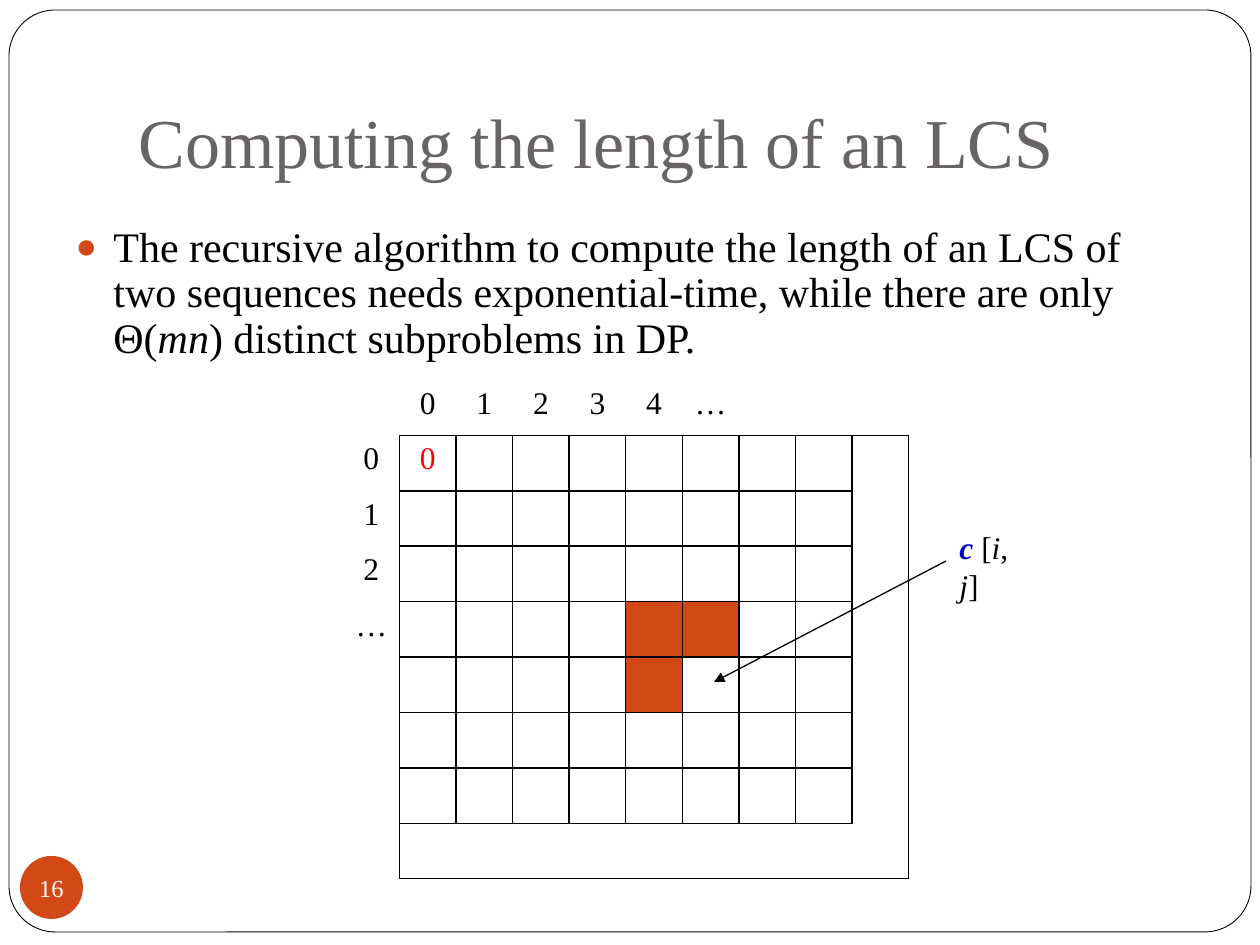
from lxml import etree
from pptx import Presentation, util as u
from pptx.dml import color
from pptx.enum import shapes, text
from pptx.oxml import ns

SCALE = 914400 / 126
FONT = "Times New Roman"
ORANGE = "D34817"
ROWS, COLS = 9, 10


def paint(target, value):
    target.rgb = color.RGBColor.from_string(value)


def style(font, size, value, bold=False, italic=False):
    font.name, font.size = FONT, u.Pt(size)
    font.bold, font.italic = bold, italic
    paint(font.color, value)


deck = Presentation()
deck.slide_width, deck.slide_height = u.Inches(10), u.Inches(7.5)
page = deck.slides.add_slide(deck.slide_layouts[1])
title, body = page.placeholders

frame_box = [round(v * SCALE) for v in (9, 10, 1242, 922)]
frame = page.shapes.add_shape(shapes.MSO_SHAPE.ROUNDED_RECTANGLE, *frame_box)
frame.adjustments[0] = 0.05
frame.shadow.inherit = False
frame.fill.solid()
paint(frame.fill.fore_color, "FFFFFF")
paint(frame.line.color, "000000")
frame.line.width = u.Pt(0.5)
page.shapes._spTree.insert(2, frame._element)

title_box = [round(v * SCALE) for v in (126, 38, 1071, 157)]
title.left, title.top, title.width, title.height = title_box
title.text_frame.text = "Computing the length of an LCS"
title.text_frame.auto_size = text.MSO_AUTO_SIZE.NONE
title.text_frame.vertical_anchor = text.MSO_ANCHOR.BOTTOM
title.text_frame.margin_bottom = u.Inches(0.1)
para = title.text_frame.paragraphs[0]
para.alignment = text.PP_ALIGN.LEFT
style(para.runs[0].font, 40, "696464")

body_box = [round(v * SCALE) for v in (63, 220, 1134, 153)]
body.left, body.top, body.width, body.height = body_box
body.text_frame.auto_size = text.MSO_AUTO_SIZE.NONE
para = body.text_frame.paragraphs[0]
para.line_spacing = 0.9
para.space_before = u.Pt(0)
props = para._p.get_or_add_pPr()
props.set("marL", str(u.Inches(0.3)))
props.set("indent", str(-u.Inches(0.3)))
bullet_color = etree.SubElement(props, ns.qn("a:buClr"))
etree.SubElement(bullet_color, ns.qn("a:srgbClr"), val=ORANGE)
etree.SubElement(props, ns.qn("a:buSzPct"), val="85000")
etree.SubElement(props, ns.qn("a:buFont"), typeface=FONT)
etree.SubElement(props, ns.qn("a:buChar"), char="●")
for words, italic in [
    ("The recursive algorithm to compute the length of an LCS of two sequences "
     "needs exponential-time, while there are only Θ(", False),
    ("mn", True),
    (") distinct subproblems in DP.", False),
]:
    span = para.add_run()
    span.text = words
    style(span.font, 24, "000000", italic=italic)

table_box = [round(v * SCALE) for v in (343, 380, 566, 499)]
table = page.shapes.add_table(ROWS, COLS, *table_box).table
table.first_row = table.horz_banding = False
for column in table.columns:
    column.width = table_box[2] // COLS
for row in table.rows:
    row.height = table_box[3] // ROWS

zones = {}
for r in range(1, ROWS):
    for c in range(1, COLS):
        zones[r, c] = "margin" if r == ROWS - 1 or c == COLS - 1 else "grid"

labels = {(0, c + 1): label for c, label in enumerate("01234…")}
labels.update({(r + 1, 0): label for r, label in enumerate("012…")})
labels[1, 1] = "0"
shaded = {(4, 5), (4, 6), (5, 5)}
sides = {"a:lnL": (0, -1), "a:lnR": (0, 1), "a:lnT": (-1, 0), "a:lnB": (1, 0)}

for r in range(ROWS):
    for c in range(COLS):
        cell = table.cell(r, c)
        props = cell._tc.get_or_add_tcPr()
        zone = zones.get((r, c))
        for side, (down, right) in sides.items():
            edge = etree.SubElement(props, ns.qn(side), w=str(u.Pt(1)))
            if zone == "grid" or zone != zones.get((r + down, c + right)):
                fill = etree.SubElement(edge, ns.qn("a:solidFill"))
                etree.SubElement(fill, ns.qn("a:srgbClr"), val="000000")
            else:
                etree.SubElement(edge, ns.qn("a:noFill"))
        if (r, c) in shaded:
            cell.fill.solid()
            paint(cell.fill.fore_color, ORANGE)
        else:
            cell.fill.background()
        if (r, c) in labels:
            cell.text_frame.text = labels[r, c]
            para = cell.text_frame.paragraphs[0]
            para.alignment = text.PP_ALIGN.CENTER
            style(para.runs[0].font, 18, "FF0000" if (r, c) == (1, 1) else "000000")
table.cell(4, 0)._tc.get_or_add_tcPr().set("vert", "eaVert")

label_box = [round(v * SCALE) for v in (947, 522, 96, 50)]
entry = page.shapes.add_textbox(*label_box)
entry.text_frame.word_wrap = True
para = entry.text_frame.paragraphs[0]
for words, value, bold, italic in [
    ("c ", "0000CC", True, True),
    ("[", "000000", False, False),
    ("i", "000000", False, True),
    (", ", "000000", False, False),
    ("j", "000000", False, True),
    ("]", "000000", False, False),
]:
    span = para.add_run()
    span.text = words
    style(span.font, 18, value, bold, italic)

arrow_ends = [round(v * SCALE) for v in (946, 561, 714, 682)]
arrow = page.shapes.add_connector(shapes.MSO_CONNECTOR.STRAIGHT, *arrow_ends)
paint(arrow.line.color, "000000")
arrow.line.width = u.Pt(0.75)
etree.SubElement(arrow.line._get_or_add_ln(), ns.qn("a:tailEnd"), type="triangle")
etree.SubElement(arrow._element.spPr, ns.qn("a:effectLst"))

badge_box = [round(v * SCALE) for v in (20, 856, 63, 63)]
badge = page.shapes.add_shape(shapes.MSO_SHAPE.OVAL, *badge_box)
badge.shadow.inherit = False
badge.fill.solid()
paint(badge.fill.fore_color, ORANGE)
badge.line.fill.background()
number = badge.text_frame
number.margin_left = number.margin_right = number.margin_top = number.margin_bottom = 0
number.word_wrap = False
number.vertical_anchor = text.MSO_ANCHOR.MIDDLE
number.text = "16"
number.paragraphs[0].alignment = text.PP_ALIGN.CENTER
style(number.paragraphs[0].runs[0].font, 14, "FFFFFF")

deck.save("out.pptx")
